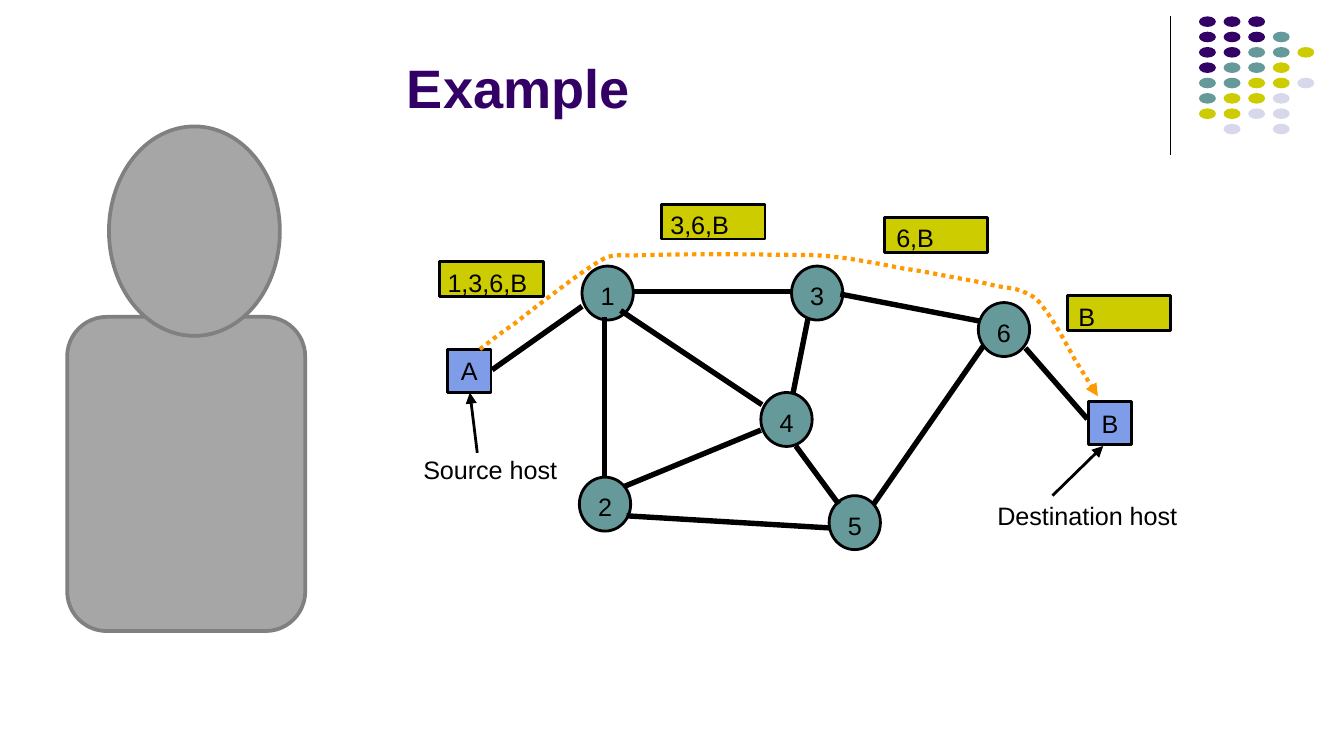
from lxml.etree import SubElement
from pptx import Presentation
from pptx.dml.color import RGBColor
from pptx.enum.dml import MSO_LINE
from pptx.enum.shapes import MSO_CONNECTOR, MSO_SHAPE as Shape
from pptx.enum.text import MSO_ANCHOR as Anchor, MSO_AUTO_SIZE, PP_ALIGN as Align
from pptx.oxml.ns import qn
from pptx.util import Cm, Pt

COLORS = {
    "ink": "000000", "purple": "330066", "teal": "669999", "lime": "CCCC00",
    "mist": "D8D8EC", "blue": "7E9CE8", "orange": "FF9900",
    "gray": "A6A6A6", "edge": "808080",
}


class Diagram:
    font = "Arial"
    text_size = 13.5

    def __init__(self, slide):
        self.slide = slide

    def color(self, name):
        return RGBColor.from_string(COLORS[name])

    def format_text(self, frame, text, size=None, color="ink", bold=False,
                    align=Align.LEFT, anchor=Anchor.TOP, insets=(0, 0)):
        left, top = insets
        frame_format = {
            "word_wrap": False, "auto_size": MSO_AUTO_SIZE.NONE,
            "vertical_anchor": anchor, "margin_left": Cm(left),
            "margin_top": Cm(top), "margin_right": 0, "margin_bottom": 0,
        }
        for key, value in frame_format.items():
            setattr(frame, key, value)
        frame.text = text
        paragraph = frame.paragraphs[0]
        paragraph.alignment = align
        font = paragraph.runs[0].font
        font_format = {"name": self.font, "size": Pt(size or self.text_size), "bold": bold}
        for key, value in font_format.items():
            setattr(font, key, value)
        font.color.rgb = self.color(color)

    def title(self, text, x, y, w, h):
        heading = self.slide.shapes.title
        box = {"left": Cm(x), "top": Cm(y), "width": Cm(w), "height": Cm(h)}
        for key, value in box.items():
            setattr(heading, key, value)
        self.format_text(heading.text_frame, text, 29, "purple", True,
                         anchor=Anchor.BOTTOM, insets=(0.25, 0.13))
        heading.text_frame.margin_bottom = Cm(0.13)

    def shape(self, kind, x, y, w, h, fill, line="ink", weight=1.5, text=None, **style):
        item = self.slide.shapes.add_shape(kind, Cm(x), Cm(y), Cm(w), Cm(h))
        item.shadow.inherit = False
        item.fill.solid()
        item.fill.fore_color.rgb = self.color(fill)
        if line:
            item.line.color.rgb = self.color(line)
            item.line.width = Pt(weight)
        else:
            item.line.fill.background()
        if text:
            self.format_text(item.text_frame, text, **style)

    def caption(self, text, x, y, w, h):
        box = self.slide.shapes.add_textbox(Cm(x), Cm(y), Cm(w), Cm(h))
        self.format_text(box.text_frame, text)

    def arrowhead(self, item, kind):
        SubElement(item.line._get_or_add_ln(), qn("a:tailEnd"), type=kind)

    def line(self, x1, y1, x2, y2, weight=2.88, head=None):
        item = self.slide.shapes.add_connector(
            MSO_CONNECTOR.STRAIGHT, Cm(x1), Cm(y1), Cm(x2), Cm(y2))
        item.line.color.rgb = self.color("ink")
        item.line.width = Pt(weight)
        if head:
            self.arrowhead(item, head)
        SubElement(item._element.spPr, qn("a:effectLst"))

    def dotted_curve(self, points, color, weight):
        start, *rest = [(Cm(x), Cm(y)) for x, y in points]
        builder = self.slide.shapes.build_freeform(*start)
        builder.add_line_segments(rest, close=False)
        item = builder.convert_to_shape()
        # Every three points after the start form one cubic segment
        outline = next(item._element.iter(qn("a:path")))
        steps = outline.findall(qn("a:lnTo"))
        for i in range(0, len(steps), 3):
            curve = SubElement(outline, qn("a:cubicBezTo"))
            for step in steps[i:i + 3]:
                curve.append(step[0])
                outline.remove(step)
        item.shadow.inherit = False
        item.fill.background()
        item.line.color.rgb = self.color(color)
        item.line.width = Pt(weight)
        item.line.dash_style = MSO_LINE.ROUND_DOT
        self.arrowhead(item, "triangle")


prs = Presentation()
prs.slide_width, prs.slide_height = Cm(25.4), Cm(14.29)
diagram = Diagram(prs.slides.add_slide(prs.slide_layouts[5]))
diagram.title("Example", 7.44, 0.25, 14.78, 2.13)

# Corner decoration
diagram.line(22.12, 0.31, 22.12, 2.93, weight=0.75)
dot_colors = {"P": "purple", "T": "teal", "Y": "lime", "L": "mist"}
dot_rows = ["PPP", "PPPT", "PPTTY", "PTTY", "TTYYL", "TYYL", "YYLL", ".L.L"]
for row, codes in enumerate(dot_rows):
    for column, code in enumerate(codes):
        if code in dot_colors:
            diagram.shape(Shape.OVAL, 22.66 + 0.465 * column, 0.31 + 0.29 * row,
                          0.32, 0.2, dot_colors[code], line=None)

# Remaining route carried on each hop
for route, x, y, indent in [
    ("1,3,6,B", 8.31, 4.95, 0.15), ("3,6,B", 12.5, 3.86, 0.17),
    ("6,B", 16.71, 4.11, 0.23), ("B", 20.17, 5.59, 0.21),
]:
    diagram.shape(Shape.RECTANGLE, x, y, 1.96, 0.66, "lime",
                  text=route, insets=(indent, 0.1))

# Routers and hosts
centered = {"align": Align.CENTER, "anchor": Anchor.MIDDLE}
for router, x, y in [
    ("1", 11, 5.03), ("2", 10.95, 9.02), ("3", 14.96, 5.03),
    ("4", 14.38, 7.42), ("5", 15.67, 9.37), ("6", 18.49, 5.72),
]:
    diagram.shape(Shape.OVAL, x, y, 0.97, 1.02, "teal",
                  text=router, insets=(0, 0.1), **centered)
for host, x, y in [("A", 8.46, 6.6), ("B", 20.57, 7.59)]:
    diagram.shape(Shape.RECTANGLE, x, y, 0.82, 0.82, "blue", text=host, **centered)

# Links
for link in [
    (11.96, 5.51, 14.96, 5.51), (15.27, 6.02, 14.99, 7.42),
    (15.04, 8.43, 15.85, 9.53), (15.88, 5.56, 18.52, 6.07),
    (16.51, 9.53, 18.59, 6.53), (15.7, 9.98, 11.84, 9.75),
    (11.43, 5.99, 11.43, 9.02), (11.73, 5.87, 14.4, 7.65),
    (14.38, 8.13, 11.81, 9.19), (9.3, 6.99, 11, 5.79),
    (20.55, 7.92, 19.38, 6.58),
]:
    diagram.line(*link)

# Host captions with pointers
diagram.caption("Source host", 8, 8.59, 2.57, 0.58)
diagram.line(9.02, 8.56, 8.88, 7.42, weight=1.5, head="triangle")
diagram.caption("Destination host", 18.85, 9.45, 3.45, 0.58)
diagram.line(19.89, 9.37, 20.85, 8.43, weight=1.5, head="triangle")

# Packet route from A to B
packet_route = [
    (9.07, 6.6),
    (9.17, 6.53), (9.45, 6.3), (9.75, 6.1),
    (10.03, 5.87), (10.54, 5.49), (10.82, 5.28),
    (11.1, 5.08), (11.25, 4.98), (11.43, 4.88),
    (11.63, 4.8), (11.73, 4.83), (11.96, 4.83),
    (12.9, 4.8), (13.5, 4.81), (14.35, 4.81),
    (14.83, 4.83), (15.27, 4.8), (15.72, 4.85),
    (16.18, 4.9), (16.69, 5), (17.09, 5.08),
    (17.48, 5.13), (17.83, 5.21), (18.11, 5.26),
    (18.39, 5.31), (18.52, 5.33), (18.72, 5.38),
    (18.95, 5.44), (19.18, 5.44), (19.33, 5.51),
    (19.51, 5.59), (19.58, 5.61), (19.74, 5.84),
    (19.91, 6.05), (20.17, 6.53), (20.32, 6.81),
    (20.5, 7.09), (20.65, 7.34), (20.75, 7.49),
]
diagram.dotted_curve(packet_route, "orange", 2.25)

# Figure at the left
diagram.shape(Shape.ROUNDED_RECTANGLE, 1.27, 5.99, 4.5, 5.94, "gray", "edge", 2)
diagram.shape(Shape.OVAL, 2.06, 2.39, 3.23, 3.96, "gray", "edge", 2)

prs.save("out.pptx")
